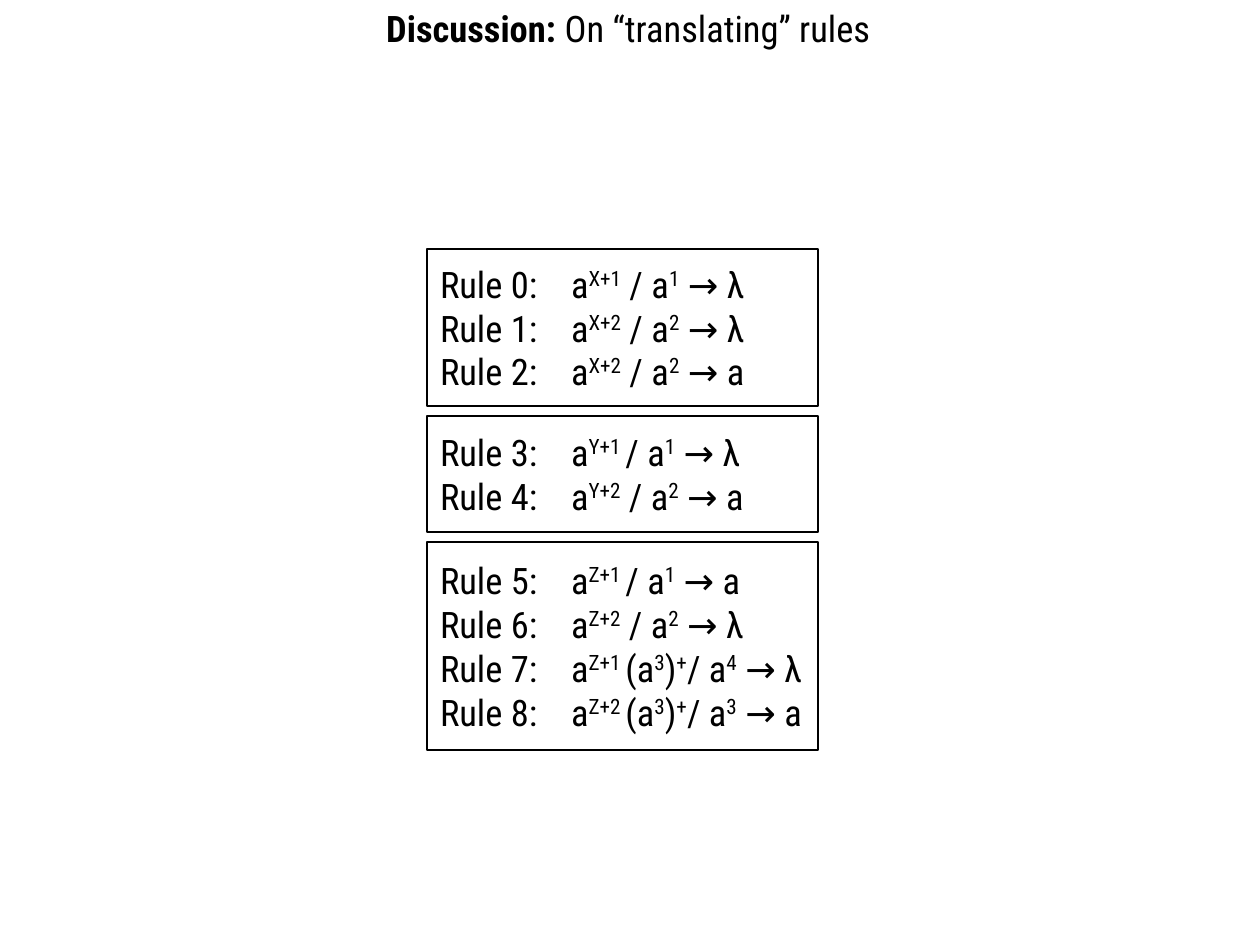
from pptx import Presentation
from pptx.dml.color import RGBColor
from pptx.enum.shapes import MSO_SHAPE as Kind
from pptx.enum.text import MSO_ANCHOR as Anchor, PP_ALIGN as Align
from pptx.oxml.ns import qn
from pptx.util import Pt
from lxml.etree import SubElement

PX = 8000
FONT = "Roboto Condensed"
INK = "000000"
GAP = 10
GROUPS = [
    (157, ["a|X+1| / a|1| → λ", "a|X+2| / a|2| → λ", "a|X+2| / a|2| → a"]),
    (116, ["a|Y+1 |/ a|1| → λ", "a|Y+2| / a|2| → a"]),
    (208, ["a|Z+1 |/ a|1| → a", "a|Z+2| / a|2| → λ",
           "a|Z+1 |(a|3|)|+|/ a|4| → λ", "a|Z+2 |(a|3|)|+|/ a|3| → a"]),
]


def px(n):
    """Turn pixels into EMU."""
    return n * PX


def color(code):
    """Turn a hex string into a colour."""
    return RGBColor.from_string(code)


def add_run(para, text, bold=False, high=False):
    """Add one run, raised if high."""
    run = para.add_run()
    run.text = text
    font = run.font
    font.name, font.size, font.bold = FONT, Pt(23), bold
    font.color.rgb = color(INK)
    if high:
        run._r.get_or_add_rPr().set("baseline", "33000")


def add_rule(para, num, rule):
    """Write a rule, its raised parts set between bars."""
    para.alignment = Align.LEFT
    tabs = SubElement(para._p.get_or_add_pPr(), qn("a:tabLst"))
    SubElement(tabs, qn("a:tab"), pos=str(px(131)), algn="l")
    add_run(para, f"Rule {num}:\t")
    for i, part in enumerate(rule.split("|")):
        add_run(para, part, high=i % 2 == 1)


def add_title(slide, x, y, w, h):
    """Write the heading of the slide."""
    frame = slide.shapes.add_textbox(px(x), px(y), px(w), px(h)).text_frame
    frame.word_wrap = True
    para = frame.paragraphs[0]
    add_run(para, "Discussion: ", bold=True)
    add_run(para, "On “translating” rules")


def add_group(slide, x, y, w, h, first, rules):
    """Draw a framed group of rules, numbered from first."""
    box = slide.shapes.add_shape(Kind.RECTANGLE, px(x), px(y), px(w), px(h))
    box.shadow.inherit = False
    box.fill.background()
    box.line.color.rgb = color(INK)
    box.line.width = Pt(1.5)
    frame = box.text_frame
    frame.word_wrap = True
    frame.vertical_anchor = Anchor.MIDDLE
    frame.margin_left, frame.margin_right = px(13), 0
    frame.margin_top = frame.margin_bottom = px(7)
    for i, rule in enumerate(rules):
        para = frame.add_paragraph() if i else frame.paragraphs[0]
        add_rule(para, first + i, rule)


def add_groups(slide, x, y, w):
    """Stack the groups with equal gaps."""
    first = 0
    for h, rules in GROUPS:
        add_group(slide, x, y, w, h, first, rules)
        y += h + GAP
        first += len(rules)


def main():
    """Build the slide and save it."""
    deck = Presentation()
    deck.slide_width, deck.slide_height = px(1260), px(945)
    slide = deck.slides.add_slide(deck.slide_layouts[6])
    add_title(slide, 375, 0, 517, 107)
    add_groups(slide, 427, 249, 391)
    deck.save("out.pptx")


if __name__ == "__main__":
    main()
